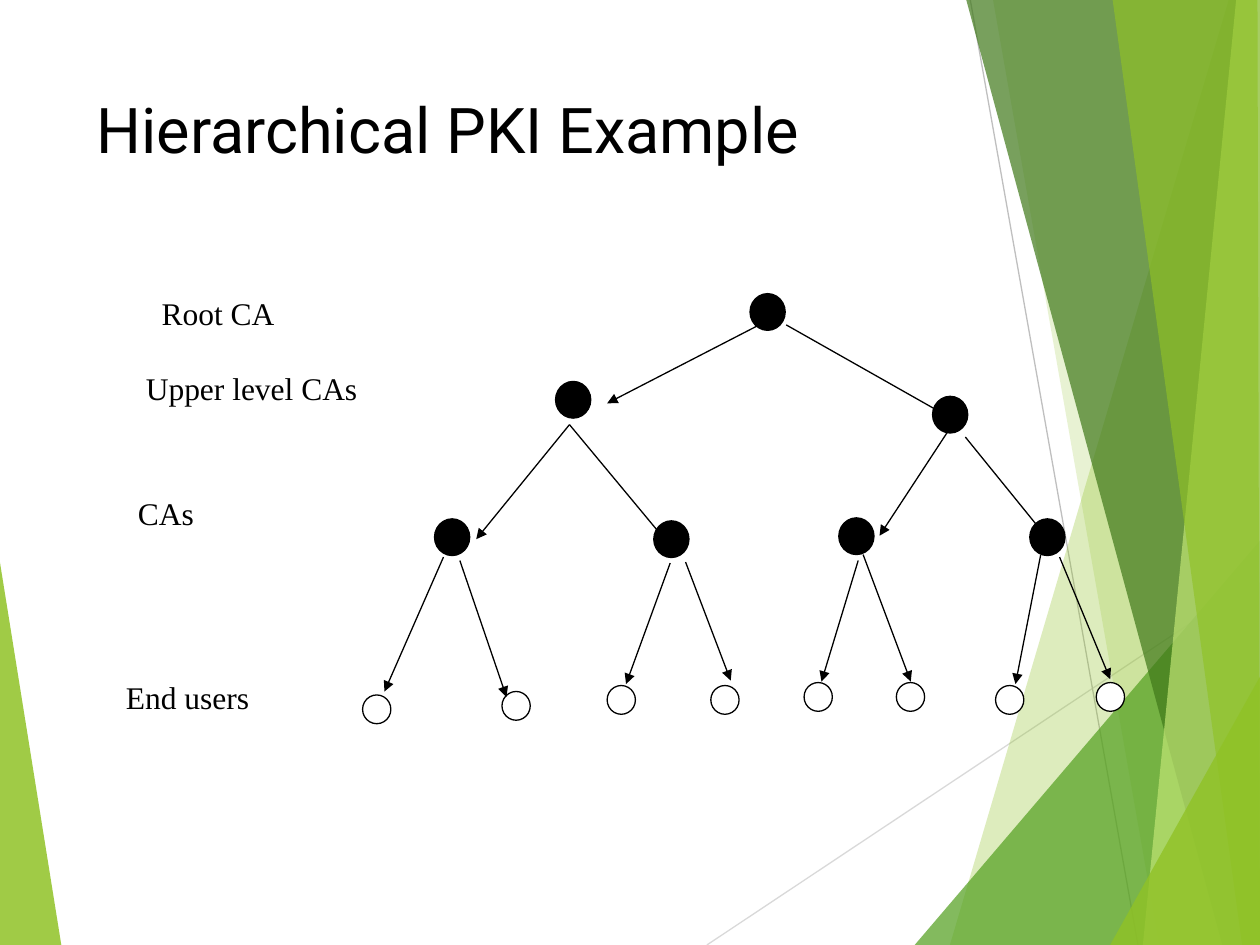
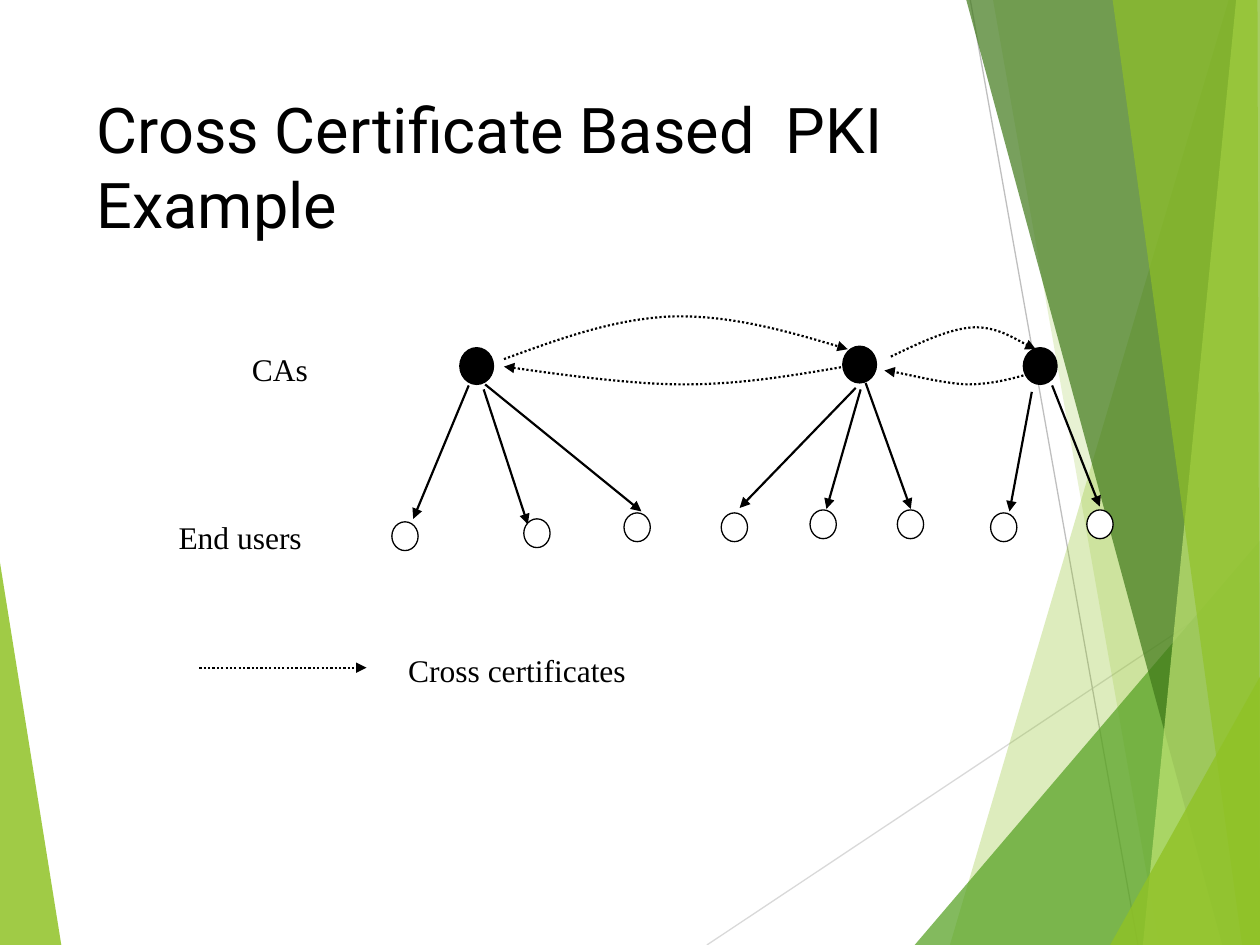
import dataclasses

import lxml.etree
import pptx
import pptx.dml.color
import pptx.enum.dml
import pptx.enum.shapes
import pptx.enum.text
import pptx.oxml.ns
import pptx.util

Cm = pptx.util.Cm
Pt = pptx.util.Pt
rgb = pptx.dml.color.RGBColor.from_string
qn = pptx.oxml.ns.qn
OVAL = pptx.enum.shapes.MSO_SHAPE.OVAL
STRAIGHT = pptx.enum.shapes.MSO_CONNECTOR.STRAIGHT
DOTTED = pptx.enum.dml.MSO_LINE.ROUND_DOT


@dataclasses.dataclass(frozen=True)
class Theme:
    ink: str = "000000"
    paper: str = "FFFFFF"
    lime: str = "90C226"
    green: str = "54A021"
    forest: str = "3F7819"
    pale_lime: str = "C0E474"
    light_grey: str = "D9D9D9"
    grey: str = "BFBFBF"
    title_font: str = "Roboto"
    label_font: str = "Times New Roman"
    title_size: int = 36
    label_size: int = 18
    thin: float = 0.75
    thick: float = 1.25


theme = Theme()
WIDTH, BOTTOM = 25.4, 19.05
LEFT_EDGE, RIGHT_EDGE = -0.03, 25.43


def add_text(page, text, left, top, width, height, font=theme.label_font,
             size=theme.label_size, inset_x=0, inset_y=0):
    box = page.shapes.add_textbox(Cm(left), Cm(top), Cm(width), Cm(height))
    frame = box.text_frame
    frame.word_wrap = True
    frame.vertical_anchor = pptx.enum.text.MSO_ANCHOR.TOP
    frame.margin_left = frame.margin_right = Cm(inset_x)
    frame.margin_top = frame.margin_bottom = Cm(inset_y)
    span = frame.paragraphs[0].add_run()
    span.text = text
    span.font.name = font
    span.font.size = Pt(size)
    span.font.color.rgb = rgb(theme.ink)


def style_line(shape, colour=theme.ink, width=theme.thin, dash=None, arrow=False):
    shape.line.color.rgb = rgb(colour)
    shape.line.width = Pt(width)
    if dash is not None:
        shape.line.dash_style = dash
    properties = shape._element.spPr
    if arrow:
        outline = properties.find(qn("a:ln"))
        lxml.etree.SubElement(outline, qn("a:tailEnd"), type="triangle")
    lxml.etree.SubElement(properties, qn("a:effectLst"))


left_sliver = (theme.lime, 85, [(LEFT_EDGE, 11.15), (1.24, 19.07), (LEFT_EDGE, BOTTOM)])
top_corner, bottom_corner = (RIGHT_EDGE, 0), (RIGHT_EDGE, BOTTOM)
right_bands = [
    (theme.lime, 30, [(24.77, 0), (19.15, BOTTOM), bottom_corner, top_corner]),
    (theme.lime, 20, [(20.02, 0), (23.37, BOTTOM), bottom_corner, top_corner]),
    (theme.green, 72, [(18.44, BOTTOM), (25.4, 10.9), bottom_corner]),
    (theme.forest, 70, [(19.48, 0), (24.64, BOTTOM), bottom_corner, top_corner]),
    (theme.pale_lime, 70, [(24.92, 0), (23.04, BOTTOM), bottom_corner, top_corner]),
    (theme.lime, 65, [(22.43, 0), (25.04, BOTTOM), (25.4, BOTTOM), (25.35, 0)]),
    (theme.lime, 80, [(22.38, BOTTOM), (RIGHT_EDGE, 13.59), bottom_corner]),
]
hairlines = [
    (theme.light_grey, (14.25, BOTTOM, RIGHT_EDGE, 11.61)),
    (theme.grey, (19.56, 0, 22.94, BOTTOM)),
]

hierarchy = {
    "title": "Hierarchical PKI Example",
    "authority_size": (0.71, 0.74),
    "authorities": [
        (15.12, 5.92), (11.2, 7.69), (18.8, 7.99),
        (8.76, 10.46), (13.18, 10.5), (16.91, 10.44), (20.76, 10.46),
    ],
    "user_size": (0.57, 0.58),
    "users": [
        (7.31, 14.01), (10.12, 13.94), (12.24, 13.82), (14.33, 13.82),
        (16.21, 13.76), (18.07, 13.76), (20.07, 13.82), (22.1, 13.76),
    ],
    "arrow_width": theme.thin,
    "arrows": [
        (15.44, 6.48, 12.24, 8.13), (15.85, 6.55, 19.05, 8.36),
        (11.48, 8.56, 9.6, 10.87), (11.48, 8.56, 13.44, 10.92),
        (19.1, 8.71, 17.73, 10.8), (19.46, 8.81, 21.13, 10.87),
        (8.94, 11.23, 7.75, 13.94), (9.27, 11.3, 10.21, 14.05),
        (13.51, 11.35, 12.62, 13.79), (13.82, 11.33, 14.73, 13.72),
        (17.3, 11.3, 16.56, 13.74), (17.4, 11.18, 18.36, 13.74),
        (20.98, 11.18, 20.47, 13.79), (21.36, 11.23, 22.38, 13.69),
    ],
    "dotted_arrows": [],
    "arcs": [],
    "labels": [
        ("Root CA", 3.26, 5.92, 5.03, 1.44),
        ("Upper level CAs", 2.94, 7.44, 7.19, 1.37),
        ("CAs", 2.78, 9.95, 2.64, 1.44),
        ("End users", 2.54, 13.66, 4.55, 1.37),
    ],
}
cross_certificates = {
    "title": "Cross Certificate Based  PKI Example",
    "authority_size": (0.68, 0.74),
    "authorities": [(9.27, 7.01), (16.99, 6.98), (20.63, 7.01)],
    "user_size": (0.53, 0.58),
    "users": [
        (7.9, 10.52), (10.56, 10.46), (12.58, 10.34), (14.54, 10.34),
        (16.33, 10.28), (18.09, 10.28), (19.97, 10.34), (21.91, 10.28),
    ],
    "arrow_width": theme.thick,
    "arrows": [
        (9.45, 7.77, 8.33, 10.46), (9.75, 7.85, 10.64, 10.57),
        (9.78, 7.75, 12.93, 10.31), (17.25, 7.82, 14.91, 10.24),
        (17.35, 7.85, 16.66, 10.26), (17.45, 7.72, 18.36, 10.26),
        (20.8, 7.9, 20.35, 10.31), (21.21, 7.77, 22.17, 10.21),
    ],
    "dotted_arrows": [(4.02, 13.46, 7.39, 13.46)],
    "arcs": [
        [(10.16, 7.24), (11.28, 6.83), (12.37, 6.43), (13.54, 6.38),
         (14.68, 6.35), (15.9, 6.68), (17.09, 7.04)],
        [(17.96, 7.19), (18.54, 6.91), (19.13, 6.63), (19.61, 6.6),
         (20.09, 6.58), (20.68, 6.96), (20.88, 7.04)],
        [(17.04, 7.39), (15.98, 7.57), (14.94, 7.75), (13.79, 7.75),
         (12.65, 7.75), (10.74, 7.47), (10.16, 7.39)],
        [(20.8, 7.52), (20.37, 7.65), (19.96, 7.75), (19.48, 7.75),
         (18.97, 7.72), (18.08, 7.49), (17.83, 7.47)],
    ],
    "labels": [
        ("CAs", 5.08, 7.05, 2.51, 1.42),
        ("End users", 3.6, 10.44, 4.29, 1.37),
        ("Cross certificates", 8.23, 13.13, 5.13, 0.94),
    ],
}

deck = pptx.Presentation()
deck.slide_width, deck.slide_height = Cm(WIDTH), Cm(BOTTOM)

for diagram in (hierarchy, cross_certificates):
    page = deck.slides.add_slide(deck.slide_layouts[6])
    page.background.fill.solid()
    page.background.fill.fore_color.rgb = rgb(theme.paper)

    for colour, ends in hairlines:
        hairline = page.shapes.add_connector(STRAIGHT, *map(Cm, ends))
        style_line(hairline, colour)

    for colour, opacity, corners in [left_sliver, *right_bands]:
        points = [(Cm(x), Cm(y)) for x, y in corners]
        builder = page.shapes.build_freeform(*points[0])
        builder.add_line_segments(points[1:], close=True)
        band = builder.convert_to_shape()
        band.fill.solid()
        band.fill.fore_color.rgb = rgb(colour)
        tint = band._element.spPr.find(qn("a:solidFill")).find(qn("a:srgbClr"))
        lxml.etree.SubElement(tint, qn("a:alpha"), val=str(opacity * 1000))
        band.line.fill.background()
        band.shadow.inherit = False

    add_text(page, diagram["title"], 1.7, 1.69, 17.63, 3.66, font=theme.title_font,
             size=theme.title_size, inset_x=0.25, inset_y=0.13)

    for kind, size, fill in [("authorities", "authority_size", theme.ink),
                             ("users", "user_size", theme.paper)]:
        for corner in diagram[kind]:
            node = page.shapes.add_shape(OVAL, *map(Cm, corner + diagram[size]))
            node.fill.solid()
            node.fill.fore_color.rgb = rgb(fill)
            style_line(node)

    for kind, width, dash in [("arrows", diagram["arrow_width"], None),
                              ("dotted_arrows", theme.thick, DOTTED)]:
        for ends in diagram[kind]:
            arrow = page.shapes.add_connector(STRAIGHT, *map(Cm, ends))
            style_line(arrow, width=width, dash=dash, arrow=True)

    for controls in diagram["arcs"]:
        points = [(Cm(x), Cm(y)) for x, y in controls]
        builder = page.shapes.build_freeform(*points[0])
        builder.add_line_segments(points[1:], close=False)
        arc = builder.convert_to_shape()
        segments = list(arc._element.spPr.iter(qn("a:lnTo")))
        outline = segments[0].getparent()
        for first in range(0, len(segments), 3):
            curve = lxml.etree.SubElement(outline, qn("a:cubicBezTo"))
            for segment in segments[first:first + 3]:
                curve.append(segment[0])
                outline.remove(segment)
        arc.fill.background()
        style_line(arc, width=theme.thick, dash=DOTTED, arrow=True)

    for text, left, top, width, height in diagram["labels"]:
        add_text(page, text, left, top, width, height)

deck.save("out.pptx")
